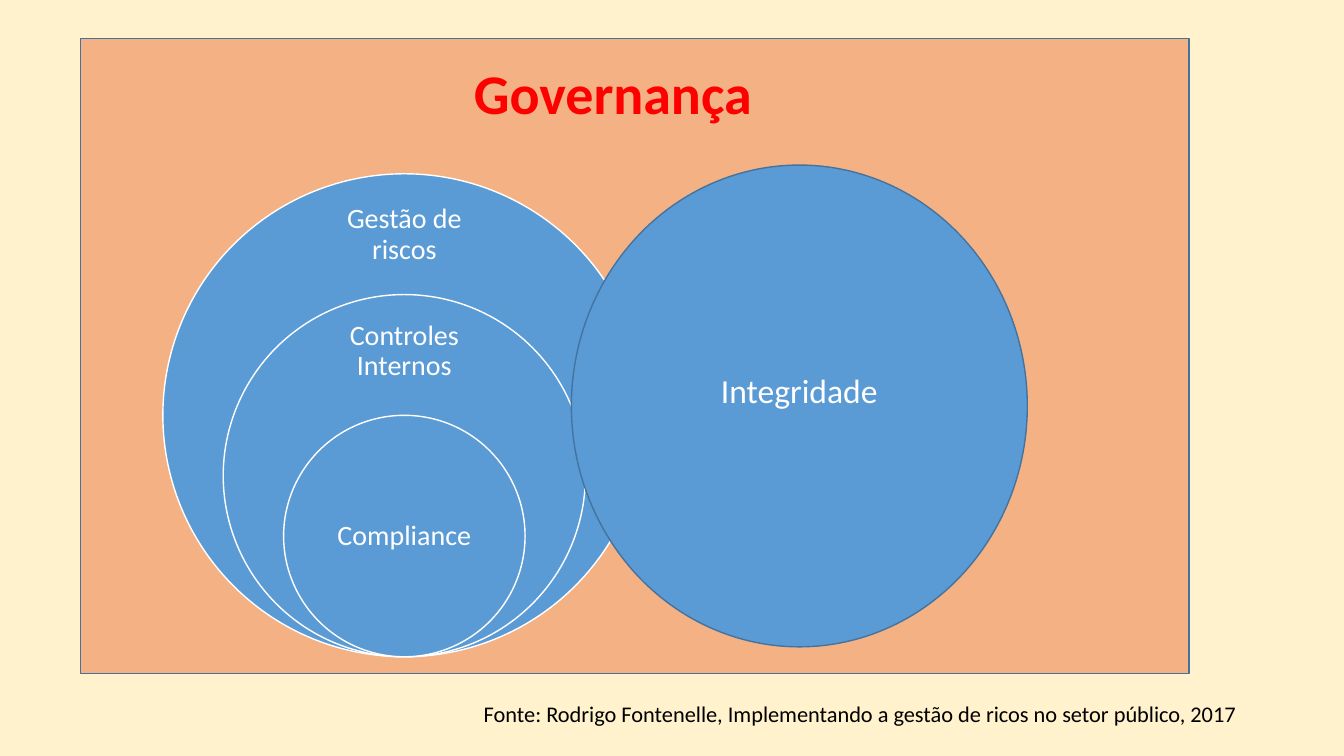
from pptx import Presentation
from pptx.dml.color import RGBColor
from pptx.enum.shapes import MSO_SHAPE
from pptx.enum.text import MSO_ANCHOR, PP_ALIGN
from pptx.util import Cm, Pt

RECT, OVAL = MSO_SHAPE.RECTANGLE, MSO_SHAPE.OVAL
MID, TOP = MSO_ANCHOR.MIDDLE, MSO_ANCHOR.TOP
LEFT, MIDDLE = PP_ALIGN.LEFT, PP_ALIGN.CENTER
CREAM = RGBColor(0xFF, 0xF2, 0xCC)
PEACH = RGBColor(0xF4, 0xB1, 0x83)
BLUE = RGBColor(0x5B, 0x9B, 0xD5)
NAVY = RGBColor(0x43, 0x73, 0x9E)
WHITE = RGBColor(0xFF, 0xFF, 0xFF)
RED = RGBColor(0xFF, 0, 0)
BLACK = RGBColor(0, 0, 0)

TITLE = "Governança"
RINGS = [
    ("Gestão de riscos", 1, 5.92, 1.83),
    ("Controles Internos", 0.75, 8.85, 1.7),
    ("Compliance", 0.5, 13.51, 3.05),
]
SIDE = "Integridade"
SOURCE = "Fonte: Rodrigo Fontenelle, Implementando a gestão de ricos no setor público, 2017"

RING_X, RING_END, RING_SIZE = 10.19, 16.55, 12.17
LABEL_W, LABEL_PAD = 4.27, 0.41


def add_form(slide, kind, box, fill, line):
    form = slide.shapes.add_shape(kind, *map(Cm, box))
    form.shadow.inherit = False
    form.fill.solid()
    form.fill.fore_color.rgb = fill
    form.line.color.rgb = line
    form.line.width = Pt(1)
    return form


def write(form, text, size, color, align=MIDDLE, anchor=MID, bold=False, space=1.0):
    frame = form.text_frame
    frame.word_wrap = True
    frame.vertical_anchor = anchor
    par = frame.paragraphs[0]
    par.alignment = align
    par.line_spacing = space
    run = par.add_run()
    run.text = text
    font = run.font
    font.name = "Calibri"
    font.size = Pt(size)
    font.bold = bold
    font.color.rgb = color
    return frame


def add_text(slide, box, *args, **style):
    return write(slide.shapes.add_textbox(*map(Cm, box)), *args, **style)


def main():
    deck = Presentation()
    deck.slide_width, deck.slide_height = Cm(33.87), Cm(19.05)
    slide = deck.slides.add_slide(deck.slide_layouts[6])
    slide.background.fill.solid()
    slide.background.fill.fore_color.rgb = CREAM

    add_form(slide, RECT, (2.03, 0.97, 27.94, 16), PEACH, NAVY)
    add_text(slide, (3, 1.02, 24.89, 2.82), TITLE, 40, RED, bold=True, space=0.9)

    for text, scale, mid, height in RINGS:
        size = RING_SIZE * scale
        box = (RING_X - size / 2, RING_END - size, size, size)
        add_form(slide, OVAL, box, BLUE, WHITE)
        box = (RING_X - LABEL_W / 2, mid - height / 2, LABEL_W, height)
        frame = add_text(slide, box, text, 20, WHITE, space=0.9)
        frame.margin_left = frame.margin_right = Cm(LABEL_PAD)
        frame.margin_top = frame.margin_bottom = Cm(LABEL_PAD)

    side = add_form(slide, OVAL, (14.4, 4.16, 11.49, 12.14), BLUE, NAVY)
    write(side, SIDE, 24, WHITE).margin_bottom = Cm(0.9)
    add_text(slide, (11.94, 17.53, 21.93, 0.94), SOURCE, 16, BLACK, align=LEFT, anchor=TOP)

    deck.save("out.pptx")


if __name__ == "__main__":
    main()
